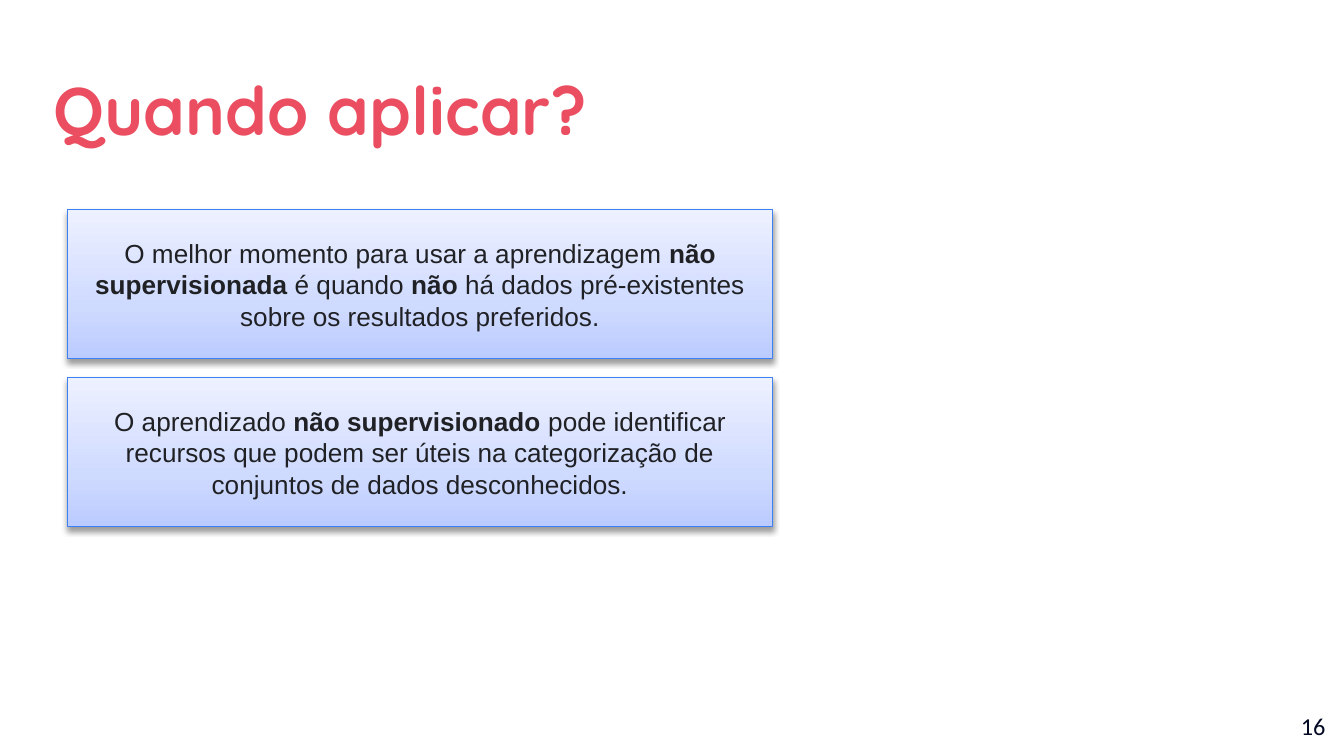
from copy import deepcopy

from lxml import etree
from pptx import Presentation
from pptx.dml.color import RGBColor
from pptx.enum.shapes import MSO_SHAPE
from pptx.enum.text import MSO_ANCHOR, MSO_AUTO_SIZE, PP_ALIGN
from pptx.oxml.ns import qn
from pptx.util import Inches, Pt

LEFT, CENTER, RIGHT = PP_ALIGN.LEFT, PP_ALIGN.CENTER, PP_ALIGN.RIGHT
TOP, MIDDLE = MSO_ANCHOR.TOP, MSO_ANCHOR.MIDDLE
RECTANGLE = MSO_SHAPE.RECTANGLE
NO_AUTOFIT = MSO_AUTO_SIZE.NONE

CORAL = RGBColor(0xEA, 0x4E, 0x60)
NAVY = RGBColor(0x04, 0x0A, 0x24)
INK = RGBColor(0x20, 0x21, 0x24)
BLUE = RGBColor(0x3C, 0x81, 0xF3)
GRADIENT = [
    (0, RGBColor(0xBB, 0xCB, 0xFF)),
    (0.35, RGBColor(0xCF, 0xDA, 0xFF)),
    (1, RGBColor(0xED, 0xF1, 0xFF)),
]

HEADING = "Quando aplicar?"
PAGE_NUMBER = "16"
REASONS = [
    [
        ("O melhor momento para usar a aprendizagem ", False),
        ("não supervisionada", True),
        (" é quando ", False),
        ("não", True),
        (" há dados pré-existentes sobre os resultados preferidos.", False),
    ],
    [
        ("O aprendizado ", False),
        ("não supervisionado", True),
        (" pode identificar recursos que podem ser úteis na categorização "
         "de conjuntos de dados desconhecidos.", False),
    ],
]

SLIDE_W = 10
SLIDE_H = SLIDE_W * 9 / 16
CARD_LEFT, CARD_TOP, CARD_W, CARD_H = 0.5, 1.56, 5.25, 1.11
CARD_PITCH = 1.25


def box(left, top, width, height):
    return [Inches(value) for value in (left, top, width, height)]


def set_label(frame, text, font_name, size, color, align):
    frame.word_wrap = True
    frame.auto_size = NO_AUTOFIT
    frame.vertical_anchor = TOP
    frame.margin_left = frame.margin_right = Inches(0.1)
    frame.margin_top = frame.margin_bottom = Inches(0.1)
    frame.text = text
    paragraph = frame.paragraphs[0]
    paragraph.alignment = align
    paragraph.font.name = font_name
    paragraph.font.size = Pt(size)
    paragraph.font.color.rgb = color
    return paragraph


def fill_gradient(card):
    card.fill.gradient()
    card.fill.gradient_angle = 90
    stop_list = card._element.spPr.find(".//" + qn("a:gsLst"))
    stop_list.insert(1, deepcopy(stop_list[0]))
    for stop, (position, color) in zip(card.fill.gradient_stops, GRADIENT):
        stop.position = position
        stop.color.rgb = color


def add_shadow(card):
    card.shadow.inherit = False
    effects = card._element.spPr.find(qn("a:effectLst"))
    shadow = etree.SubElement(
        effects, qn("a:outerShdw"), blurRad=str(Pt(3.1)), dist=str(Pt(1.6)),
        dir="5400000", rotWithShape="0")
    black = etree.SubElement(shadow, qn("a:srgbClr"), val="000000")
    etree.SubElement(black, qn("a:alpha"), val="38000")


def add_card(slide, row, reason):
    card = slide.shapes.add_shape(
        RECTANGLE, *box(CARD_LEFT, CARD_TOP + row * CARD_PITCH, CARD_W, CARD_H))
    fill_gradient(card)
    card.line.color.rgb = BLUE
    card.line.width = Pt(0.75)
    add_shadow(card)
    card.text_frame.word_wrap = True
    card.text_frame.vertical_anchor = MIDDLE
    paragraph = card.text_frame.paragraphs[0]
    paragraph.alignment = CENTER
    paragraph.font.name = "Arial"
    paragraph.font.size = Pt(14)
    paragraph.font.color.rgb = INK
    for text, bold in reason:
        run = paragraph.add_run()
        run.text = text
        run.font.bold = bold


def main():
    deck = Presentation()
    deck.slide_width, deck.slide_height = Inches(SLIDE_W), Inches(SLIDE_H)
    slide = deck.slides.add_slide(deck.slide_layouts[5])

    number = slide.shapes.add_textbox(*box(9.36, 5.19, 0.6, 0.43))
    set_label(number.text_frame, PAGE_NUMBER, "Calibri", 13, NAVY, RIGHT)

    title = slide.shapes.title
    title.left, title.top, title.width, title.height = box(0.3, 0.32, 8.99, 1.8)
    heading = set_label(title.text_frame, HEADING, "Quicksand", 36, CORAL, LEFT)
    heading.font.bold = True
    heading.line_spacing = 1.15

    for row, reason in enumerate(REASONS):
        add_card(slide, row, reason)

    deck.save("out.pptx")


if __name__ == "__main__":
    main()
